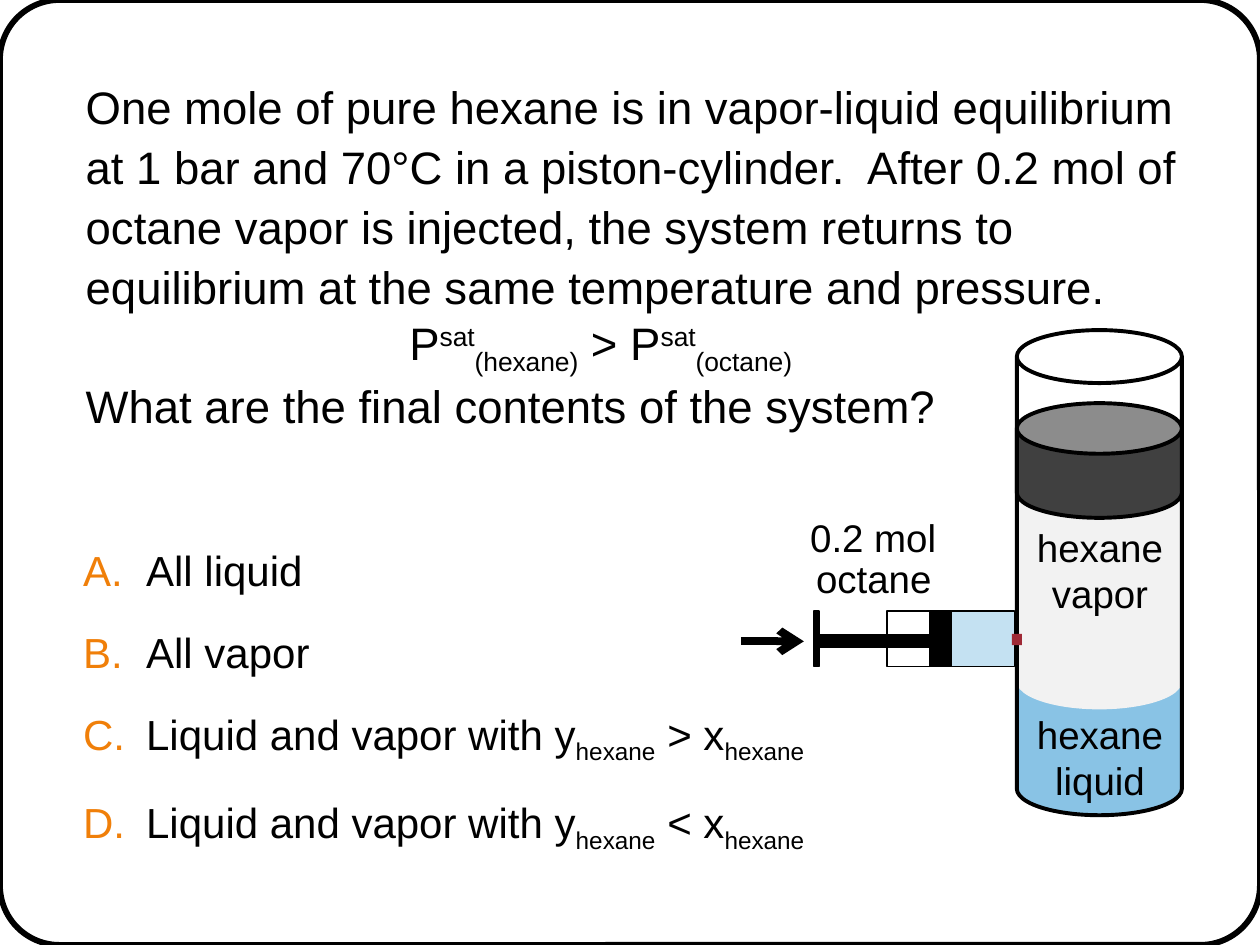
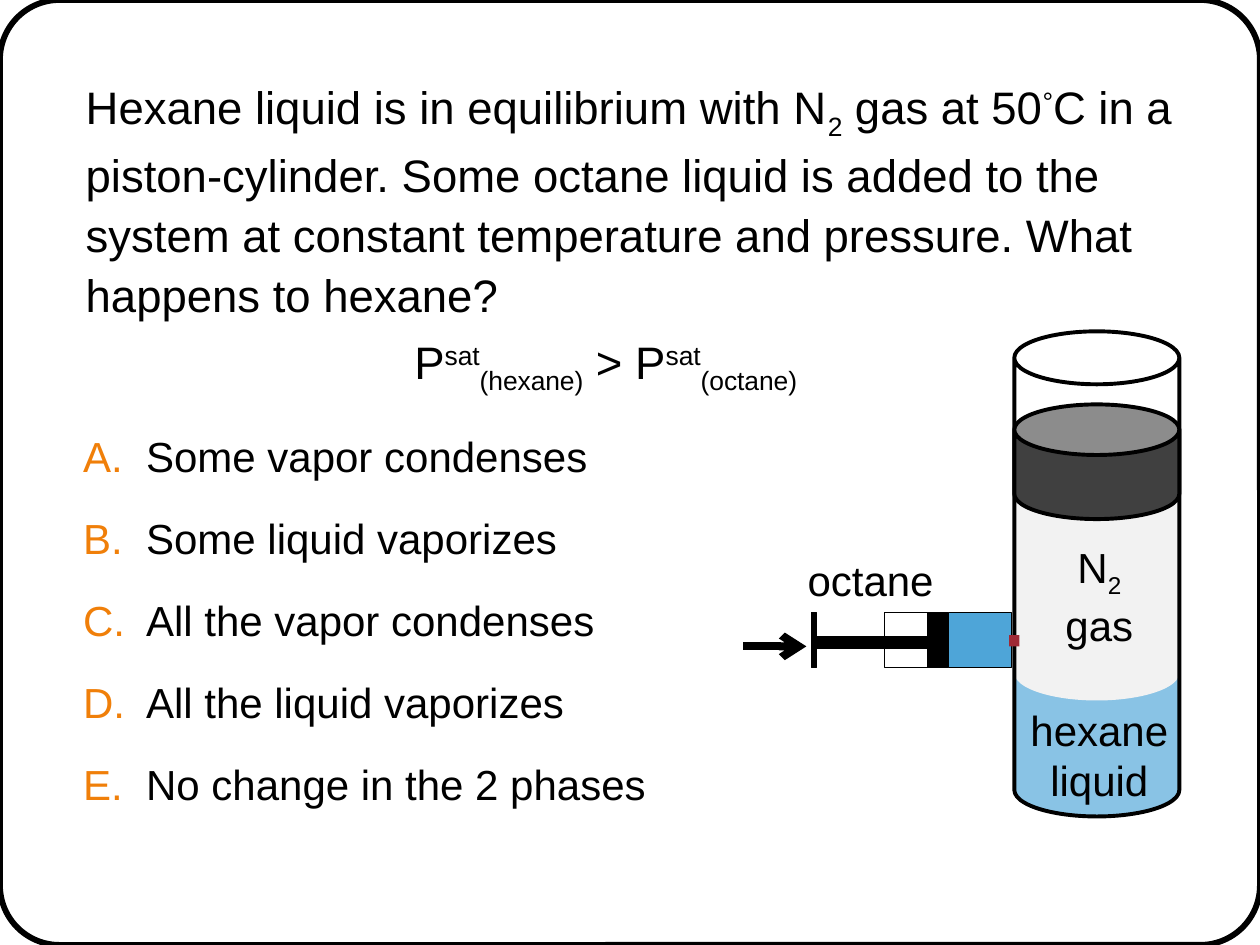
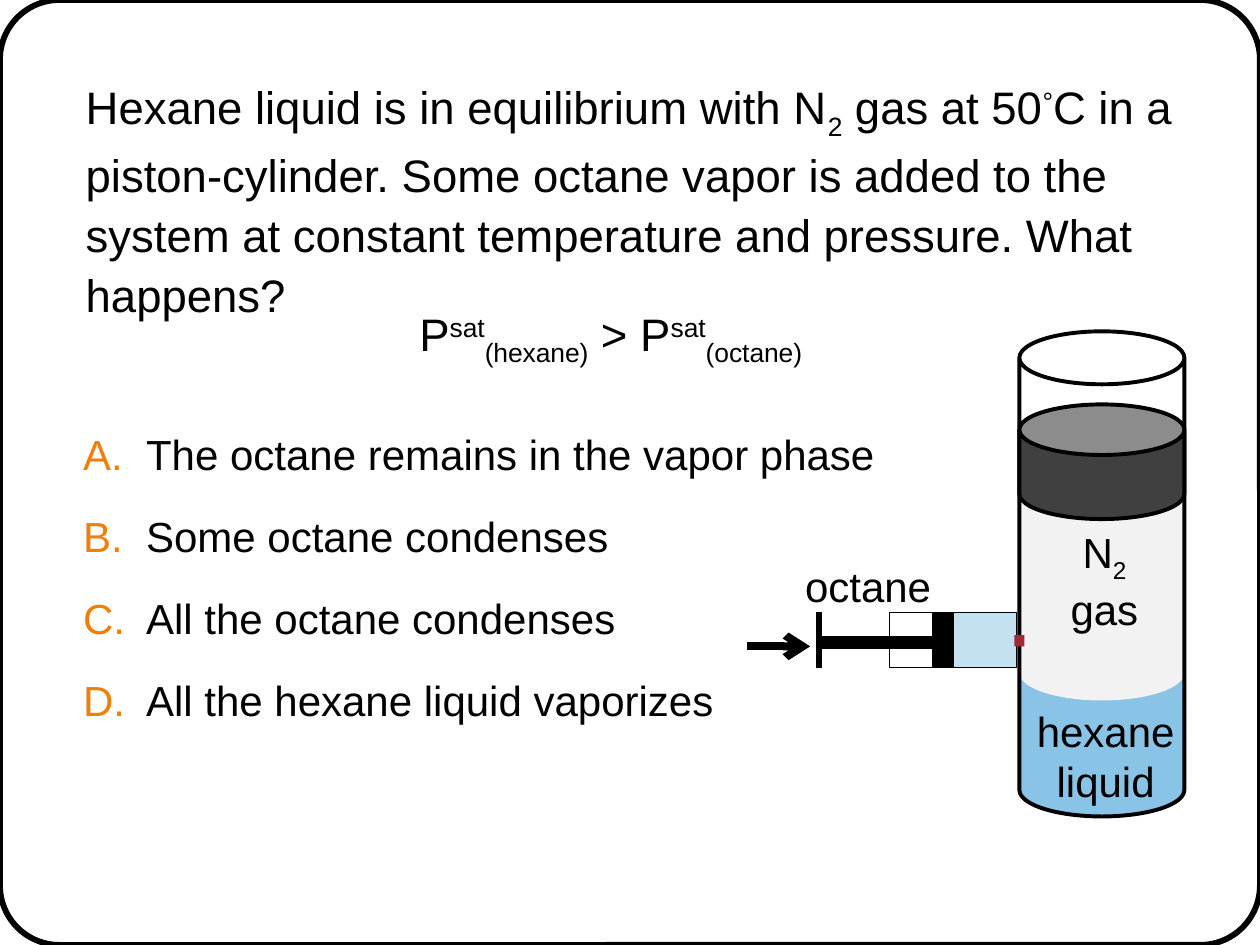
"""Builds three quiz slides on vapor-liquid equilibrium in a piston-cylinder."""
from dataclasses import dataclass

from lxml import etree
from pptx import Presentation
from pptx.dml.color import RGBColor
from pptx.enum.shapes import MSO_CONNECTOR, MSO_SHAPE
from pptx.enum.text import MSO_ANCHOR, PP_ALIGN
from pptx.oxml.ns import qn
from pptx.util import Inches, Pt

CAN = MSO_SHAPE.CAN
RECTANGLE = MSO_SHAPE.RECTANGLE
ROUNDED = MSO_SHAPE.ROUNDED_RECTANGLE
STRAIGHT = MSO_CONNECTOR.STRAIGHT
LEFT, CENTER = PP_ALIGN.LEFT, PP_ALIGN.CENTER
TOP = MSO_ANCHOR.TOP
BLANK_LAYOUT = 6


@dataclass(frozen=True)
class Theme:
    """Colours, type sizes and line widths of the deck."""
    font: str = "Arial"
    black: str = "000000"
    white: str = "FFFFFF"
    orange: str = "F07F09"
    liquid: str = "89C3E5"
    gas: str = "F2F2F2"
    piston: str = "404040"
    octane_vapor: str = "C4E1F2"
    octane_liquid: str = "4EA5D8"
    valve: str = "9F2936"
    question_size: int = 26
    answer_size: int = 24
    label_size: int = 24
    small_label_size: int = 22
    frame_line: float = 3.35
    vessel_line: float = 2.25
    syringe_line: float = 0.75
    arrow_line: float = 4.5


def sub(text):
    """Return a subscript run."""
    return text, -25000


def sup(text):
    """Return a superscript run."""
    return text, 30000


class Deck:
    """Holds the theme, the presentation and the current slide."""

    def __init__(self, theme):
        """Start an empty 10 by 7.5 inch presentation."""
        self.theme = theme
        self.presentation = Presentation()
        self.presentation.slide_width = Inches(10)
        self.presentation.slide_height = Inches(7.5)
        self.slide = None
        self.shapes = None

    def new_slide(self):
        """Add a blank slide with the rounded frame."""
        layout = self.presentation.slide_layouts[BLANK_LAYOUT]
        self.slide = self.presentation.slides.add_slide(layout)
        self.shapes = self.slide.shapes
        self.shape(ROUNDED, 0, 0, 10, 7.5, line=self.theme.frame_line, adjustment=0.063)

    def start_group(self):
        """Send the next elements to a new group."""
        self.shapes = self.slide.shapes.add_group_shape().shapes

    def end_group(self):
        """Send the next elements to the slide again."""
        self.shapes = self.slide.shapes

    def shape(self, kind, left, top, width, height, fill=None, line=None, adjustment=None):
        """Add a preset shape with an optional fill and black outline."""
        shape = self.shapes.add_shape(kind, Inches(left), Inches(top), Inches(width), Inches(height))
        shape.shadow.inherit = False
        if adjustment is not None:
            shape.adjustments[0] = adjustment
        if fill:
            shape.fill.solid()
            shape.fill.fore_color.rgb = RGBColor.from_string(fill)
        else:
            shape.fill.background()
        if line:
            shape.line.color.rgb = RGBColor.from_string(self.theme.black)
            shape.line.width = Pt(line)
        else:
            shape.line.fill.background()

    def arrow(self, left, top, length):
        """Add a thick horizontal arrow pointing right."""
        connector = self.shapes.add_connector(
            STRAIGHT, Inches(left), Inches(top), Inches(left + length), Inches(top))
        connector.line.color.rgb = RGBColor.from_string(self.theme.black)
        connector.line.width = Pt(self.theme.arrow_line)
        etree.SubElement(connector.line._get_or_add_ln(), qn("a:tailEnd"), type="arrow")
        etree.SubElement(connector._element.spPr, qn("a:effectLst"))

    def text(self, left, top, width, height, paragraphs, size, align=LEFT, wrap=False):
        """Add a text box from lists of runs and return its paragraphs."""
        box = self.shapes.add_textbox(Inches(left), Inches(top), Inches(width), Inches(height))
        frame = box.text_frame
        frame.word_wrap = wrap
        frame.vertical_anchor = TOP
        if wrap:
            frame.margin_left = frame.margin_top = frame.margin_right = frame.margin_bottom = 0
        for index, runs in enumerate(paragraphs):
            paragraph = frame.add_paragraph() if index else frame.paragraphs[0]
            paragraph.alignment = align
            for item in runs:
                self.run(paragraph, item, size)
        return frame.paragraphs

    def run(self, paragraph, item, size):
        """Add one run, given as text or as text with a baseline shift."""
        text, baseline = (item, 0) if isinstance(item, str) else item
        run = paragraph.add_run()
        run.text = text
        run.font.name = self.theme.font
        run.font.size = Pt(size)
        run.font.color.rgb = RGBColor.from_string(self.theme.black)
        if baseline:
            run._r.get_or_add_rPr().set("baseline", str(baseline))

    def question(self, height, paragraphs):
        """Add the question, leaving a line free for the formula between paragraphs."""
        added = self.text(0.68, 0.58, 8.79, height, paragraphs, self.theme.question_size, wrap=True)
        for paragraph in added:
            paragraph.line_spacing = 1.1
        for paragraph in added[1:]:
            paragraph.space_before = Pt(34)

    def formula(self, left, top):
        """Add the comparison of saturation pressures."""
        runs = ["P", sup("sat"), sub("(hexane)"), " > P", sup("sat"), sub("(octane)")]
        self.text(left, top, 3.6, 0.54, [runs], self.theme.question_size)

    def answers(self, top, width, height, choices):
        """Add the lettered choices."""
        for paragraph in self.text(0.66, top, width, height, choices,
                                   self.theme.answer_size, wrap=True):
            paragraph.space_after = Pt(18)
            properties = paragraph._p.get_or_add_pPr()
            properties.set("marL", str(Inches(0.5)))
            properties.set("indent", str(-Inches(0.5)))
            color = etree.SubElement(properties, qn("a:buClr"))
            etree.SubElement(color, qn("a:srgbClr"), val=self.theme.orange)
            etree.SubElement(properties, qn("a:buFont"), typeface=self.theme.font)
            etree.SubElement(properties, qn("a:buAutoNum"), type="alphaUcPeriod")

    def cylinder(self, left, top, liquid_top):
        """Add the vessel with its liquid, gas and piston."""
        theme = self.theme
        width, height, gas_top = 1.31, 3.85, top + 0.87
        self.shape(CAN, left, liquid_top, width, top + height - liquid_top,
                   theme.liquid, adjustment=0.334)
        self.shape(CAN, left, gas_top, width, liquid_top + 0.51 - gas_top,
                   theme.gas, adjustment=0.334)
        self.shape(CAN, left, top, width, height, line=theme.vessel_line, adjustment=0.321)
        self.shape(CAN, left, top + 0.58, width, 0.91, theme.piston, theme.vessel_line, 0.441)

    def syringe(self, left, top, content):
        """Add the syringe that ends at the vessel wall, and its valve."""
        theme = self.theme
        parts = [
            (-0.52, 0, 0.5, 0.44, content),
            (-1.03, 0, 0.51, 0.44, theme.white),
            (-0.69, 0, 0.16, 0.44, theme.black),
            (-1.58, 0.19, 0.89, 0.1, theme.black),
            (-1.61, 0, 0.04, 0.44, theme.black),
        ]
        for offset, drop, width, height, fill in parts:
            self.shape(RECTANGLE, left + offset, top + drop, width, height,
                       fill, theme.syringe_line)
        self.shape(RECTANGLE, left - 0.04, top + 0.18, 0.08, 0.09, theme.valve)

    def apparatus(self, left, top, liquid_top, content, arrow, labels, size):
        """Add the grouped vessel and syringe with their labels."""
        self.start_group()
        self.cylinder(left, top, liquid_top)
        self.syringe(left, top + 2.23, content)
        self.arrow(*arrow, 0.5)
        for box, paragraphs in labels:
            self.text(*box, paragraphs, size, CENTER)
        self.end_group()


def nitrogen_question(addition, ending):
    """Return the question shared by the two nitrogen slides."""
    return [["Hexane liquid is in equilibrium with N", sub("2"), " gas at 50", sup("°"),
             f"C in a piston-cylinder. Some octane {addition} is added to the system "
             f"at constant temperature and pressure. What {ending}?"]]


def hexane_slide(deck):
    """Octane vapor is injected into pure hexane."""
    deck.new_slide()
    deck.question(3.45, [
        ["One mole of pure hexane is in vapor-liquid equilibrium at 1 bar and 70°C in a "
         "piston-cylinder.  After 0.2 mol of octane vapor is injected, the system returns "
         "to equilibrium at the same temperature and pressure."],
        ["What are the final contents of the system?"]])
    comparisons = [["Liquid and vapor with y", sub("hexane"), f" {sign} x", sub("hexane")]
                   for sign in "><"]
    deck.answers(4.32, 7.32, 3.18, [["All liquid"], ["All vapor"], *comparisons])
    deck.formula(3.15, 2.45)
    deck.apparatus(8.07, 2.62, 5.12, deck.theme.octane_vapor, (5.88, 5.09), [
        ((8.12, 4.11, 1.22, 0.84), [["hexane"], ["vapor"]]),
        ((8.12, 5.59, 1.22, 0.84), [["hexane"], ["liquid"]]),
        ((6.32, 4.03, 1.22, 0.47), [["0.2 mol"]]),
        ((6.37, 4.36, 1.13, 0.47), [["octane"]]),
    ], deck.theme.small_label_size)


def nitrogen_slide(deck, question, formula, answers, left, content, arrow, boxes):
    """Octane is added to hexane liquid under nitrogen."""
    deck.new_slide()
    deck.question(2.5, question)
    deck.answers(*answers)
    deck.formula(*formula)
    texts = [["N", sub("2")], ["gas"]], [["hexane"], ["liquid"]], [["octane"]]
    deck.apparatus(left, 2.63, 5.05, content, arrow, list(zip(boxes, texts)),
                   deck.theme.label_size)


def main():
    """Build and save the deck."""
    theme = Theme()
    deck = Deck(theme)
    hexane_slide(deck)
    nitrogen_slide(
        deck, nitrogen_question("liquid", "happens to hexane"), (3.19, 2.6),
        (3.42, 5.37, 3.33, [["Some vapor condenses"], ["Some liquid vaporizes"],
                            ["All the vapor condenses"], ["All the liquid vaporizes"],
                            ["No change in the 2 phases"]]),
        8.05, theme.octane_liquid, (5.9, 5.13),
        [(8.35, 4.25, 0.75, 0.91), (8.07, 5.54, 1.31, 0.91), (6.31, 4.35, 1.2, 0.5)])
    nitrogen_slide(
        deck, nitrogen_question("vapor", "happens"), (3.23, 2.38),
        (3.4, 6.5, 2.97, [["The octane remains in the vapor phase"],
                          ["Some octane condenses"], ["All the octane condenses"],
                          ["All the hexane liquid vaporizes"]]),
        8.09, theme.octane_vapor, (5.93, 5.13),
        [(8.39, 4.13, 0.75, 0.91), (8.12, 5.55, 1.31, 0.91), (6.29, 4.4, 1.2, 0.5)])
    deck.presentation.save("out.pptx")


if __name__ == "__main__":
    main()
